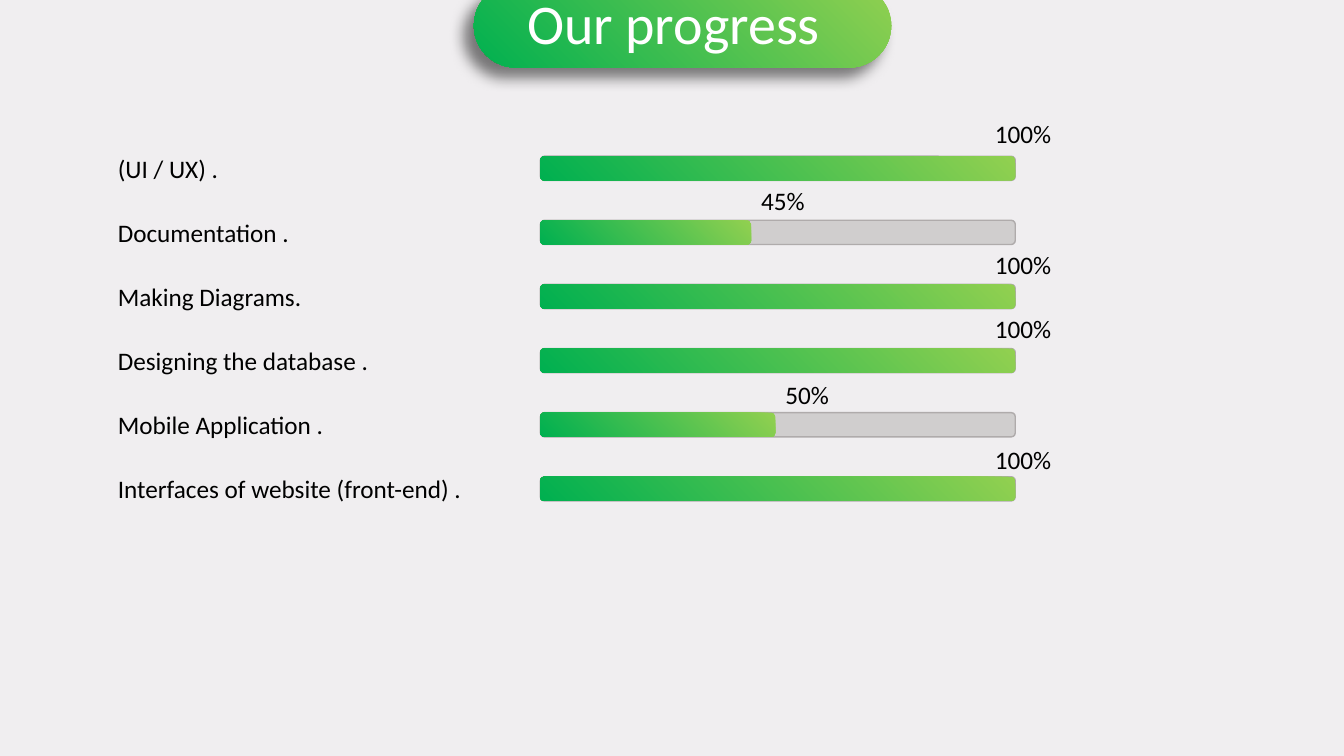
from dataclasses import dataclass

from pptx import Presentation
from pptx.dml.color import RGBColor as RGB
from pptx.enum.shapes import MSO_SHAPE as Preset
from pptx.enum.text import MSO_ANCHOR as Anchor, MSO_AUTO_SIZE as AutoSize, PP_ALIGN as Align
from pptx.oxml import parse_xml
from pptx.oxml.ns import nsdecls
from pptx.util import Inches, Pt


@dataclass(frozen=True)
class Theme:
    font: str = "Calibri"
    title_size: int = 40
    body_size: int = 18
    backdrop: RGB = RGB(0xF0, 0xEE, 0xF0)
    title: RGB = RGB(0xFF, 0xFF, 0xFF)
    body: RGB = RGB(0x00, 0x00, 0x00)
    track: RGB = RGB(0xD0, 0xCE, 0xCE)
    track_edge: RGB = RGB(0xAF, 0xAB, 0xAB)
    light_green: RGB = RGB(0x92, 0xD0, 0x50)
    green: RGB = RGB(0x00, 0xB0, 0x50)


theme = Theme()


def write(holder, text, size=theme.body_size, color=theme.body, align=Align.LEFT, wrap=True, inset=0.1):
    frame = holder.text_frame
    frame.word_wrap = wrap
    frame.auto_size = AutoSize.SHAPE_TO_FIT_TEXT
    frame.vertical_anchor = Anchor.TOP
    frame.margin_left = frame.margin_right = Inches(inset)
    paragraph = frame.paragraphs[0]
    paragraph.alignment = align
    run = paragraph.add_run()
    run.text = text
    run.font.name = theme.font
    run.font.size = Pt(size)
    run.font.color.rgb = color


def add_pill(shapes, left, top, width, height, gradient=True):
    pill = shapes.add_shape(Preset.ROUNDED_RECTANGLE, *map(Inches, (left, top, width, height)))
    pill.shadow.inherit = False
    if gradient:
        pill.fill.gradient()
        pill.fill.gradient_angle = 225
        for stop, color in zip(pill.fill.gradient_stops, (theme.light_green, theme.green)):
            stop.color.rgb = color
        pill.line.fill.background()
    else:
        pill.fill.solid()
        pill.fill.fore_color.rgb = theme.track
        pill.line.color.rgb = theme.track_edge
        pill.line.width = Pt(1)
    return pill


deck = Presentation()
deck.slide_width, deck.slide_height = Inches(13.33), Inches(7.5)
slide = deck.slides.add_slide(deck.slide_layouts[5])
slide.background.fill.solid()
slide.background.fill.fore_color.rgb = theme.backdrop
shapes = slide.shapes

banner = add_pill(shapes, 4.7, -0.16, 4.14, 0.83)
banner.adjustments[0] = 0.5
effects = banner.element.spPr.find("{*}effectLst")
effects.append(parse_xml(
    f'<a:outerShdw {nsdecls("a")} blurRad="{Pt(10)}" dist="{Pt(10)}" dir="8100000" algn="tr" rotWithShape="0">'
    '<a:srgbClr val="000000"><a:alpha val="50000"/></a:srgbClr></a:outerShdw>'))

heading = shapes.title
heading.left, heading.top, heading.width, heading.height = map(Inches, (5.13, -0.16, 3.1, 0.77))
write(heading, "Our progress", size=theme.title_size, color=theme.title, align=Align.CENTER, inset=0)
banner.element.addnext(heading.element)

label_left, label_top, line_height = 1.07, 1.47, 0.4
bar_left, bar_top, bar_width, bar_height = 5.36, 1.55, 4.71, 0.24
row_pitch = (4.73 - bar_top) / 5
full_percent_left = 9.77

tasks = [
    ("(UI / UX) .", 1.22, "100%", bar_width, 0.43),
    ("Documentation .", 1.92, "45%", 2.09, 0.4),
    ("Making Diagrams.", 2.1, "100%", bar_width, 0.4),
    ("Designing the database .", 2.72, "100%", bar_width, 0.4),
    ("Mobile Application .", 2.26, "50%", 2.33, 0.38),
    ("Interfaces of website (front-end) .", 3.65, "100%", bar_width, 0.37),
]

for row, (task, label_width, percent, done_width, percent_lift) in enumerate(tasks):
    offset = row * row_pitch
    bar_y = bar_top + offset
    label = shapes.add_textbox(*map(Inches, (label_left, label_top + offset, label_width, line_height)))
    write(label, task, wrap=False)

    add_pill(shapes, bar_left, bar_y, bar_width, bar_height, gradient=False)
    add_pill(shapes, bar_left, bar_y, done_width, bar_height)

    percent_left = min(bar_left + done_width, full_percent_left)
    percent_width = 0.76 if percent == "100%" else 0.65
    percent_label = shapes.add_textbox(
        *map(Inches, (percent_left, bar_y - percent_lift, percent_width, line_height)))
    write(percent_label, percent)

deck.save("out.pptx")
